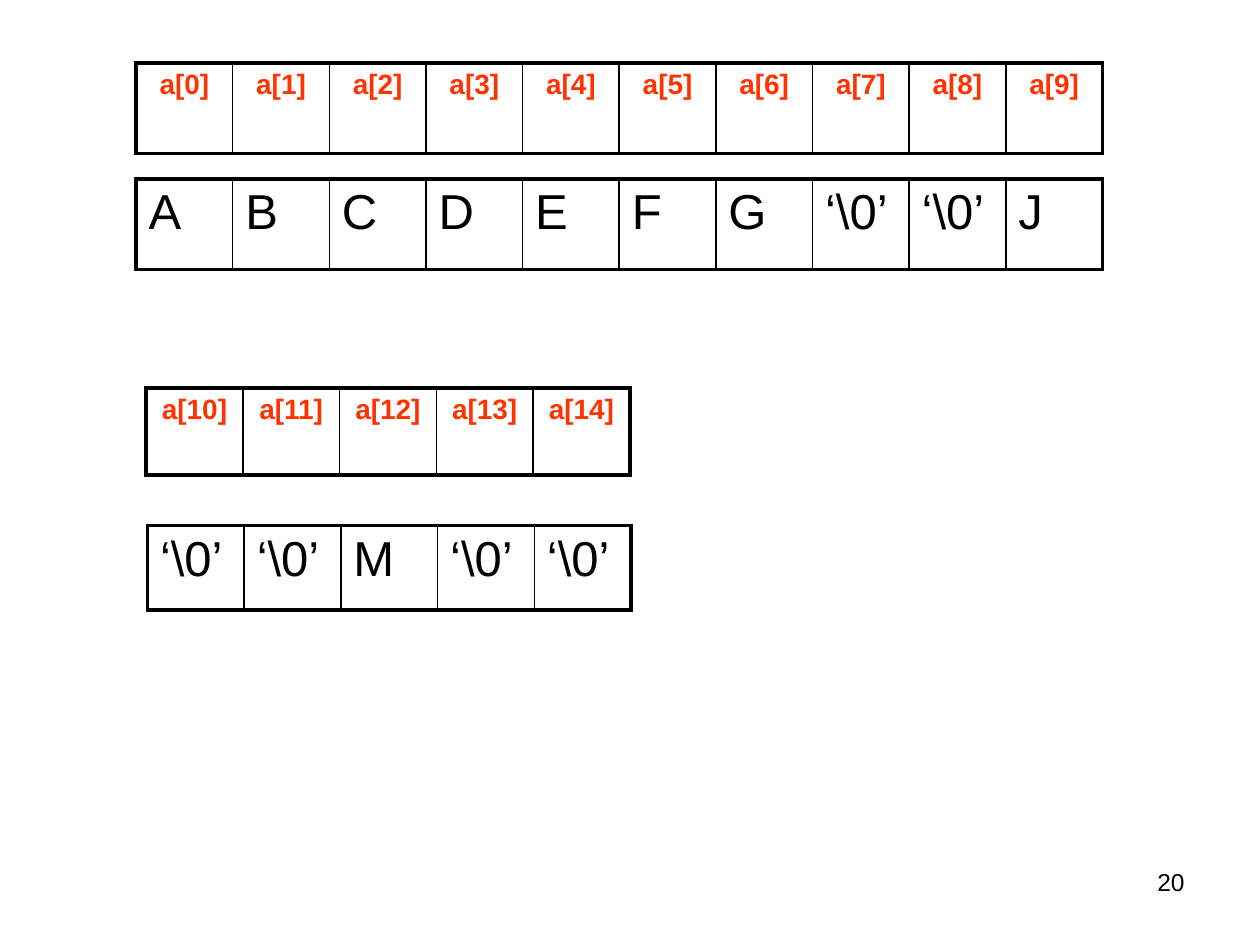
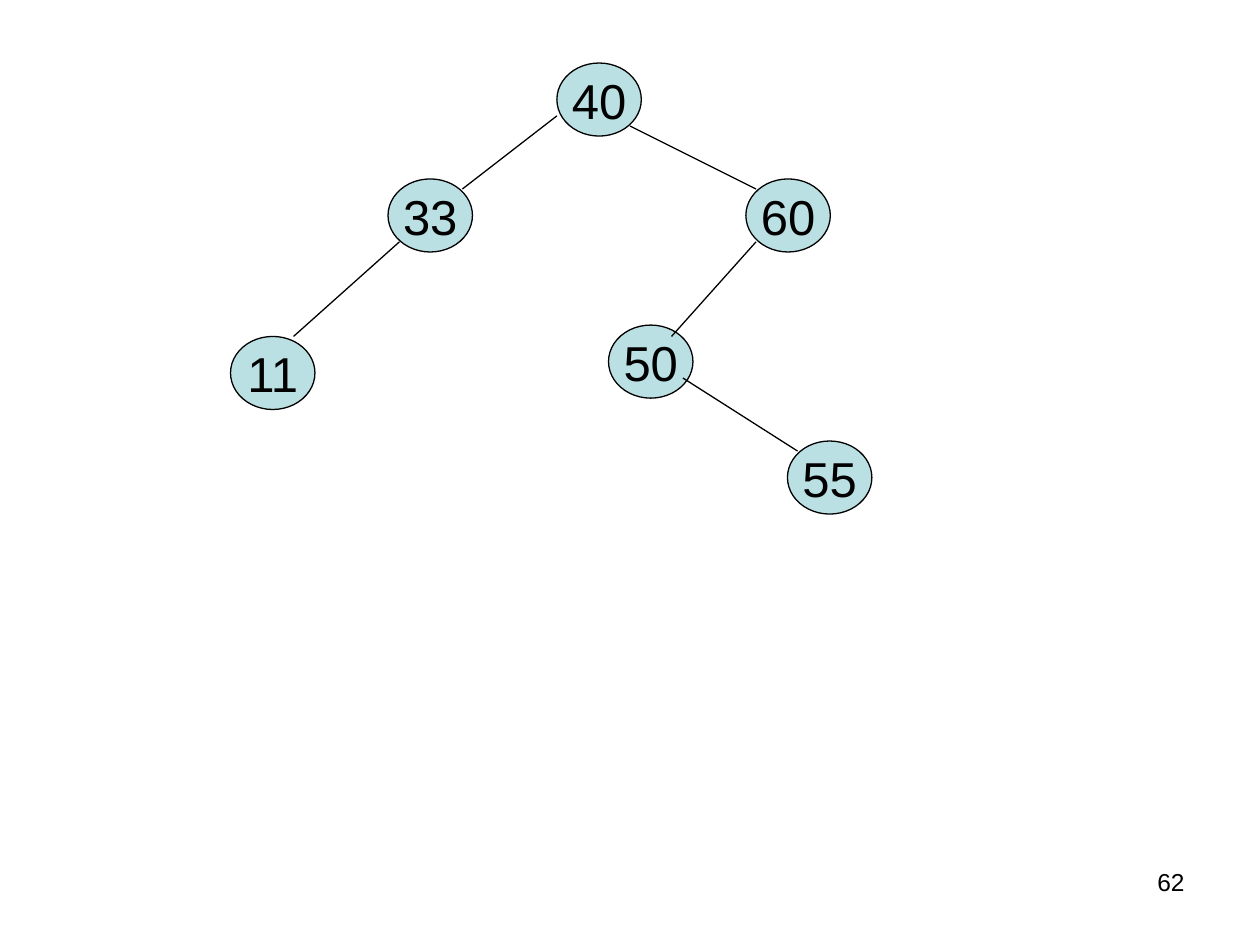
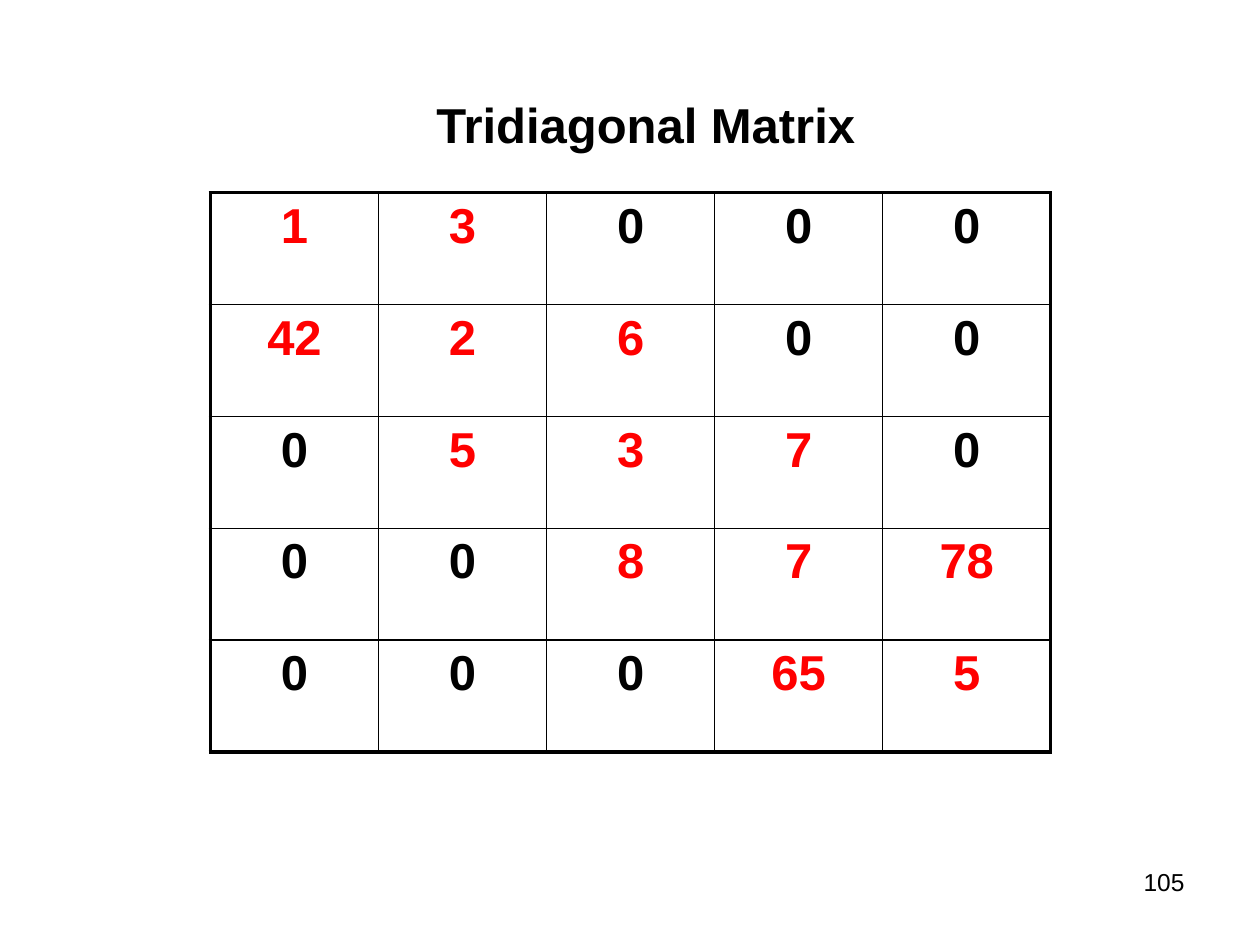
import lxml.etree
import pptx
import pptx.dml.color
import pptx.enum.shapes
import pptx.enum.text
import pptx.oxml.ns
import pptx.util

Inches = pptx.util.Inches
Pt = pptx.util.Pt
ALIGN = pptx.enum.text.PP_ALIGN
ANCHOR = pptx.enum.text.MSO_ANCHOR
BLACK, RED, ORANGE, PALE_BLUE = "000000", "FF0000", "FF3300", "BBE0E3"
THIN, THICK, LINK = 1, 2.25, 0.75
NODE_WIDTH, NODE_HEIGHT = 0.67, 0.58

NUMBER_FONT = {"name": "Arial", "size": Pt(14)}
VALUE_FONT = {"name": "Arial", "size": Pt(28), "bold": False}
STRONG_FONT = {**VALUE_FONT, "bold": True}
INDEX_FONT = {**STRONG_FONT, "size": Pt(16)}
NODE_FRAME = {"word_wrap": False, "vertical_anchor": ANCHOR.MIDDLE}
LETTERS = ["A", "B", "C", "D", "E", "F", "G", "‘\\0’", "‘\\0’", "J",
           "‘\\0’", "‘\\0’", "M", "‘\\0’", "‘\\0’"]
INDEXES = [f"a[{position}]" for position in range(len(LETTERS))]
MATRIX = [
    [1, 3, 0, 0, 0],
    [42, 2, 6, 0, 0],
    [0, 5, 3, 7, 0],
    [0, 0, 8, 7, 78],
    [0, 0, 0, 65, 5],
]
TREE_NODES = {
    "40": (2.59, 0), "50": (3, 2.08), "60": (4.09, 0.92),
    "55": (4.42, 3), "33": (1.25, 0.92), "11": (0, 2.17),
}
TREE_LINKS = [
    (2.59, 0.42, 1.84, 1),
    (1.34, 1.42, 0.5, 2.17),
    (3.17, 0.5, 4.17, 1),
    (4.17, 1.42, 3.5, 2.17),
    (3.59, 2.5, 4.5, 3.08),
]


def rgb(value):
    """Turn a hex string into a colour."""
    return pptx.dml.color.RGBColor.from_string(value)


def apply(target, values):
    """Set every attribute named in values on the target."""
    for attribute, value in values.items():
        setattr(target, attribute, value)


def write(frame, text, font, color=BLACK, align=ALIGN.CENTER):
    """Fill a text frame with one formatted paragraph."""
    paragraph = frame.paragraphs[0]
    paragraph.text = text
    paragraph.alignment = align
    apply(paragraph.font, font)
    paragraph.font.color.rgb = rgb(color)


def add_text(slide, box, text, font, align):
    """Place a wrapping line of text in the box."""
    frame = slide.shapes.add_textbox(*map(Inches, box)).text_frame
    frame.word_wrap = True
    write(frame, text, font, align=align)


def add_border(cell, side, width):
    """Draw one black side of a cell."""
    ns = pptx.oxml.ns.qn
    edge = lxml.etree.SubElement(cell._tc.get_or_add_tcPr(), ns(f"a:ln{side}"), w=str(Pt(width)))
    fill = lxml.etree.SubElement(edge, ns("a:solidFill"))
    lxml.etree.SubElement(fill, ns("a:srgbClr"), val=BLACK)


def add_grid(slide, box, rows, font, color_at, align=ALIGN.CENTER):
    """Draw equal cells with a thick outline and thin inner lines."""
    left, top, width, height = map(Inches, box)
    last_row, last_column = len(rows) - 1, len(rows[0]) - 1
    grid = slide.shapes.add_table(len(rows), len(rows[0]), left, top, width, height).table
    apply(grid, {"first_row": False, "horz_banding": False})
    for column in grid.columns:
        column.width = width // len(rows[0])
    for r, values in enumerate(rows):
        grid.rows[r].height = height // len(rows)
        for c, value in enumerate(values):
            cell = grid.cell(r, c)
            outer = {"L": c == 0, "R": c == last_column, "T": r == 0, "B": r == last_row}
            for side, is_outer in outer.items():
                add_border(cell, side, THICK if is_outer else THIN)
            cell.fill.background()
            write(cell.text_frame, str(value), font, color_at(r, c), align)


def add_index_row(slide, box, indexes):
    """Draw the row of array indexes."""
    add_grid(slide, box, [indexes], INDEX_FONT, lambda r, c: ORANGE)


def add_letter_row(slide, box, letters):
    """Draw the row of array values."""
    add_grid(slide, box, [letters], VALUE_FONT, lambda r, c: BLACK, ALIGN.JUSTIFY)


def add_node(slide, left, top, key):
    """Draw one tree node with its key."""
    node = slide.shapes.add_shape(
        pptx.enum.shapes.MSO_SHAPE.OVAL,
        *map(Inches, (left, top, NODE_WIDTH, NODE_HEIGHT)))
    node.shadow.inherit = False
    node.fill.solid()
    node.fill.fore_color.rgb = rgb(PALE_BLUE)
    node.line.color.rgb = rgb(BLACK)
    node.line.width = Pt(LINK)
    apply(node.text_frame, NODE_FRAME)
    write(node.text_frame, key, VALUE_FONT)


def add_link(slide, ends):
    """Draw one line between tree nodes."""
    link = slide.shapes.add_connector(
        pptx.enum.shapes.MSO_CONNECTOR.STRAIGHT, *map(Inches, ends))
    link.line.color.rgb = rgb(BLACK)
    link.line.width = Pt(LINK)
    lxml.etree.SubElement(link._element.spPr, pptx.oxml.ns.qn("a:effectLst"))


def add_tree(slide, left, top):
    """Draw the search tree from its top left corner."""
    for key, (x, y) in TREE_NODES.items():
        add_node(slide, left + x, top + y, key)
    for x1, y1, x2, y2 in TREE_LINKS:
        add_link(slide, (left + x1, top + y1, left + x2, top + y2))


def add_matrix(slide, box):
    """Draw the matrix with its three diagonals in red."""
    add_grid(slide, box, MATRIX, STRONG_FONT,
             lambda r, c: RED if abs(r - c) <= 1 else BLACK)


def add_page(deck, number):
    """Add a blank slide with its page number."""
    slide = deck.slides.add_slide(deck.slide_layouts[6])
    add_text(slide, (7.17, 6.83, 2.33, 0.52), str(number), NUMBER_FONT, ALIGN.RIGHT)
    return slide


def main():
    """Build and save the slides."""
    deck = pptx.Presentation()
    apply(deck, {"slide_width": Inches(10), "slide_height": Inches(7.5)})

    array_page = add_page(deck, 20)
    add_letter_row(array_page, (1.08, 1.42, 7.67, 0.72), LETTERS[:10])
    add_letter_row(array_page, (1.17, 4.17, 3.84, 0.67), LETTERS[10:])
    add_index_row(array_page, (1.08, 0.5, 7.67, 0.72), INDEXES[:10])
    add_index_row(array_page, (1.16, 3.08, 3.84, 0.69), INDEXES[10:])

    add_tree(add_page(deck, 62), 1.83, 0.5)

    matrix_page = add_page(deck, 105)
    add_matrix(matrix_page, (1.67, 1.53, 6.67, 4.44))
    add_text(matrix_page, (2, 0.7, 6.25, 0.57), "Tridiagonal Matrix", STRONG_FONT, ALIGN.CENTER)

    deck.save("out.pptx")


if __name__ == "__main__":
    main()
